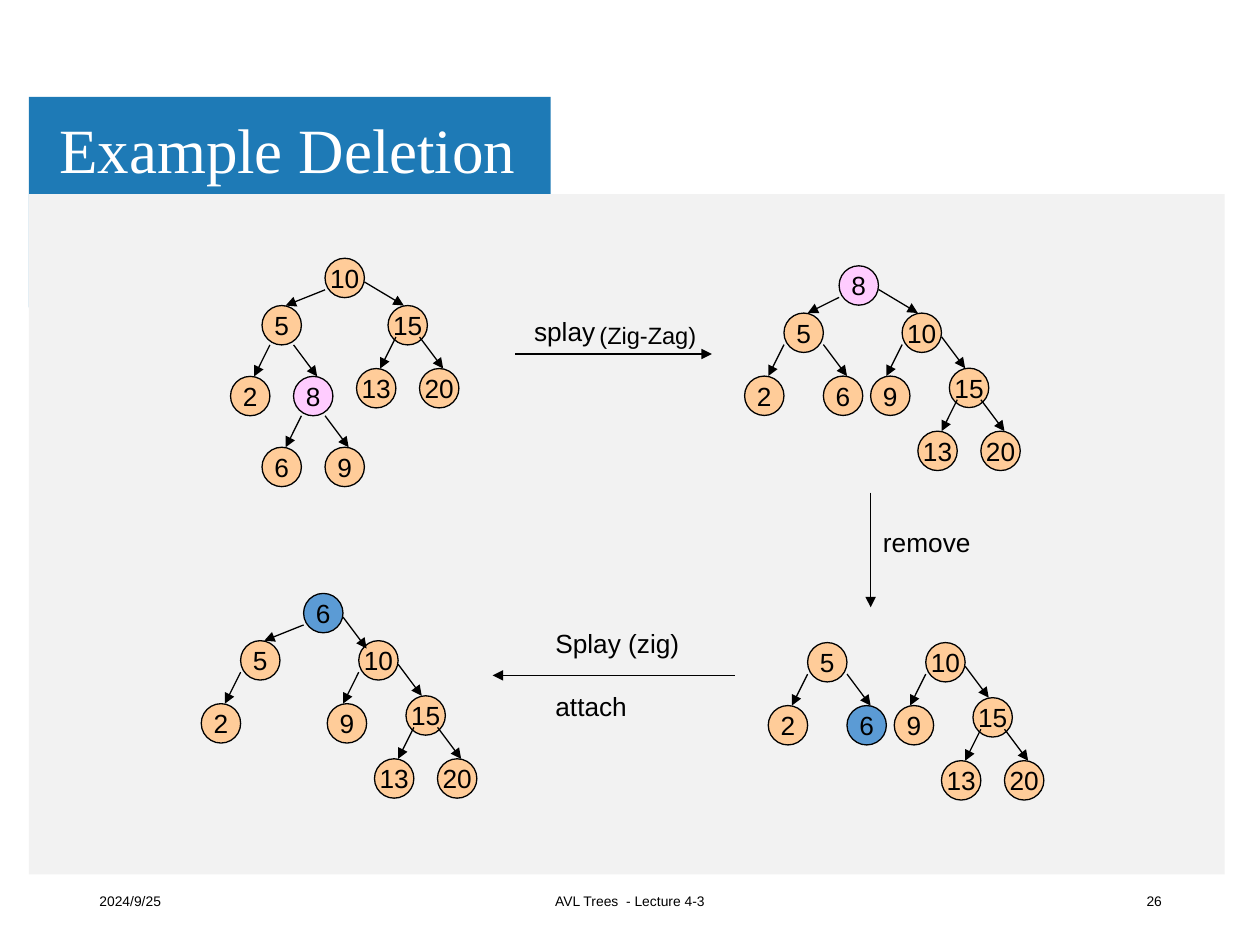
from lxml import etree
from pptx import Presentation
from pptx.dml.color import RGBColor
from pptx.enum import shapes, text
from pptx.oxml.ns import qn
from pptx.util import Inches, Pt

UNIT = 1 / 16  # tree grid step in inches
NODE = 5 * UNIT
BLACK, ORANGE, PINK, BLUE = "000000", "FFCC99", "FFCCFF", "5B9BD5"
LEFT, CENTER, RIGHT = text.PP_ALIGN.LEFT, text.PP_ALIGN.CENTER, text.PP_ALIGN.RIGHT
TOP, MIDDLE = text.MSO_ANCHOR.TOP, text.MSO_ANCHOR.MIDDLE

# Edge styles in grid units: start offset in the parent, end offset in the child
SIDE_L, SIDE_R = ((0, 4), (3, 0)), ((5, 4), (3, 0))
LOW_L, LOW_R = ((1, 5), (3, 0)), ((4, 5), (3, 0))
IN_L, IN_R = ((1, 4), (3, 0)), ((4, 4), (3, 0))
NEAR_L, HIGH_R, STEEP_R = ((0, 4), (2, 0)), ((5, 3), (2, 0)), ((5, 3), (1, 1))

# Subtree under 10, shared by three trees, with offsets from node 10
TEN_NODES = {"10": (0, 0), "15": (6, 7), "9": (-4, 8), "13": (2, 15), "20": (10, 15)}
TEN_EDGES = [("10", "15", HIGH_R), ("10", "9", NEAR_L),
             ("15", "13", IN_L), ("15", "20", IN_R)]


def with_ten(dx, dy, nodes):
    """Add the subtree under 10, shifted by dx, dy, to other nodes."""
    return nodes | {k: (x + dx, y + dy) for k, (x, y) in TEN_NODES.items()}


# Each tree: left and top of its origin, nodes, edges, highlighted nodes
TREES = [
    (2.58, 2.05,
     {"10": (0, 0), "5": (-8, 6), "15": (8, 6), "2": (-12, 15), "8": (-4, 15),
      "13": (4, 14), "20": (12, 14), "6": (-8, 24), "9": (0, 24)},
     [("10", "5", SIDE_L), ("10", "15", HIGH_R), ("5", "2", LOW_L), ("5", "8", LOW_R),
      ("15", "13", IN_L), ("15", "20", IN_R), ("8", "6", LOW_L), ("8", "9", LOW_R)],
     {"8": PINK}),
    (6.66, 2.11,
     with_ten(8, 6, {"8": (0, 0), "5": (-7, 6), "2": (-12, 14), "6": (-2, 14)}),
     [("8", "5", SIDE_L), ("8", "10", HIGH_R),
      ("5", "2", SIDE_L), ("5", "6", SIDE_R)] + TEN_EDGES,
     {"8": PINK}),
    (6.41, 5.1,
     with_ten(15, 0, {"5": (0, 0), "2": (-5, 8), "6": (5, 8)}),
     [("5", "2", SIDE_L), ("5", "6", SIDE_R)] + TEN_EDGES,
     {"6": BLUE}),
    (2.41, 4.71,
     with_ten(7, 6, {"6": (0, 0), "5": (-8, 6), "2": (-13, 14)}),
     [("6", "5", SIDE_L), ("6", "10", STEEP_R), ("5", "2", SIDE_L)] + TEN_EDGES,
     {"6": BLUE}),
]


def rgb(value):
    return RGBColor.from_string(value)


def write(sp, content, size=15, font="Arial", color=BLACK, align=LEFT, anchor=TOP,
          wrap=True, gap=0, line_spacing=None):
    tf = sp.text_frame
    tf.word_wrap, tf.vertical_anchor = wrap, anchor
    for i, line in enumerate(content.split("\n")):
        p = tf.add_paragraph() if i else tf.paragraphs[0]
        p.alignment = align
        if i:
            p.space_before = Pt(gap)
        if line_spacing:
            p.line_spacing = line_spacing
        r = p.add_run()
        r.text = line
        r.font.size, r.font.name, r.font.color.rgb = Pt(size), font, rgb(color)


def add_label(s, content, x, y, w, h, **fmt):
    write(s.shapes.add_textbox(Inches(x), Inches(y), Inches(w), Inches(h)), content, **fmt)


def add_shape(s, kind, x, y, w, h, fill, outline=None):
    sp = s.shapes.add_shape(kind, Inches(x), Inches(y), Inches(w), Inches(h))
    sp.shadow.inherit = False
    sp.fill.solid()
    sp.fill.fore_color.rgb = rgb(fill)
    if outline:
        sp.line.color.rgb, sp.line.width = rgb(outline), Pt(0.75)
    else:
        sp.line.fill.background()
    return sp


def add_arrow(s, x1, y1, x2, y2):
    c = s.shapes.add_connector(shapes.MSO_CONNECTOR.STRAIGHT,
                               Inches(x1), Inches(y1), Inches(x2), Inches(y2))
    c.line.color.rgb, c.line.width = rgb(BLACK), Pt(0.75)
    etree.SubElement(c.line._get_or_add_ln(), qn("a:tailEnd"), type="triangle")
    etree.SubElement(c._element.spPr, qn("a:effectLst"))


def add_tree(s, left, top, nodes, edges, highlights):
    spots = {k: (left + x * UNIT, top + y * UNIT) for k, (x, y) in nodes.items()}
    for key, (x, y) in spots.items():
        sp = add_shape(s, shapes.MSO_SHAPE.OVAL, x, y, NODE, NODE,
                       highlights.get(key, ORANGE), BLACK)
        write(sp, key, align=CENTER, anchor=MIDDLE, wrap=False)
    for parent, child, (start, end) in edges:
        (px, py), (cx, cy) = spots[parent], spots[child]
        add_arrow(s, px + start[0] * UNIT, py + start[1] * UNIT,
                  cx + end[0] * UNIT, cy + end[1] * UNIT)


def add_title(s, content):
    sp = s.shapes.title
    sp.left, sp.top, sp.width, sp.height = Inches(0.4), Inches(0.82), Inches(6.28), Inches(0.79)
    tf = sp.text_frame
    tf.margin_left = tf.margin_right = Inches(0.07)
    tf.margin_top = tf.margin_bottom = Inches(0.04)
    write(sp, content, size=36, font="Times New Roman", color="FFFFFF",
          anchor=MIDDLE, line_spacing=0.9)
    s.shapes._spTree.append(sp._element)  # in front of the panels


def main():
    prs = Presentation()
    prs.slide_width, prs.slide_height = Inches(10), Inches(7.5)
    s = prs.slides.add_slide(prs.slide_layouts[5])

    # Panels and title
    add_shape(s, shapes.MSO_SHAPE.RECTANGLE, 0.23, 0.77, 4.14, 1.67, "1E7AB6")
    add_shape(s, shapes.MSO_SHAPE.RECTANGLE, 0.23, 1.54, 9.49, 5.4, "F2F2F2")
    add_title(s, "Example Deletion")

    # Footer
    for content, x, w, align in [("2024/9/25", 0.69, 2.25, LEFT),
                                 ("AVL Trees  - Lecture 4-3", 3.31, 3.38, CENTER),
                                 ("26", 7.07, 2.25, RIGHT)]:
        add_label(s, content, x, 6.95, w, 0.4, size=7.9, align=align, anchor=MIDDLE)

    for tree in TREES:
        add_tree(s, *tree)

    # Steps between the trees
    add_arrow(s, 4.09, 2.81, 5.65, 2.81)
    add_arrow(s, 6.91, 3.91, 6.91, 4.82)
    add_arrow(s, 5.83, 5.36, 3.91, 5.36)
    add_label(s, "splay", 4.14, 2.45, 0.69, 0.35, wrap=False)
    add_label(s, "(Zig-Zag)", 4.66, 2.5, 1, 0.33, size=13.5)
    add_label(s, "remove", 6.91, 4.13, 0.9, 0.35, wrap=False)
    add_label(s, "Splay (zig)\nattach", 4.31, 4.93, 1.27, 0.86, gap=18)

    prs.save("out.pptx")


if __name__ == "__main__":
    main()
